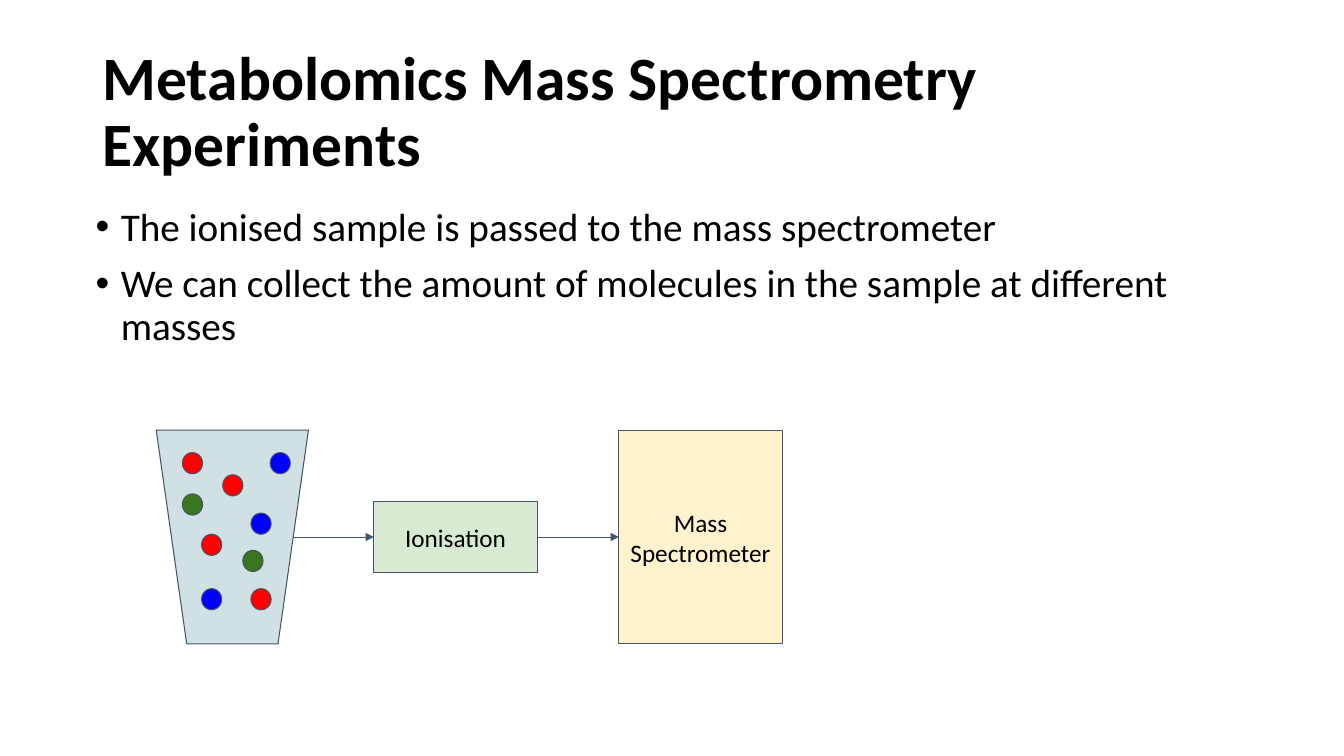
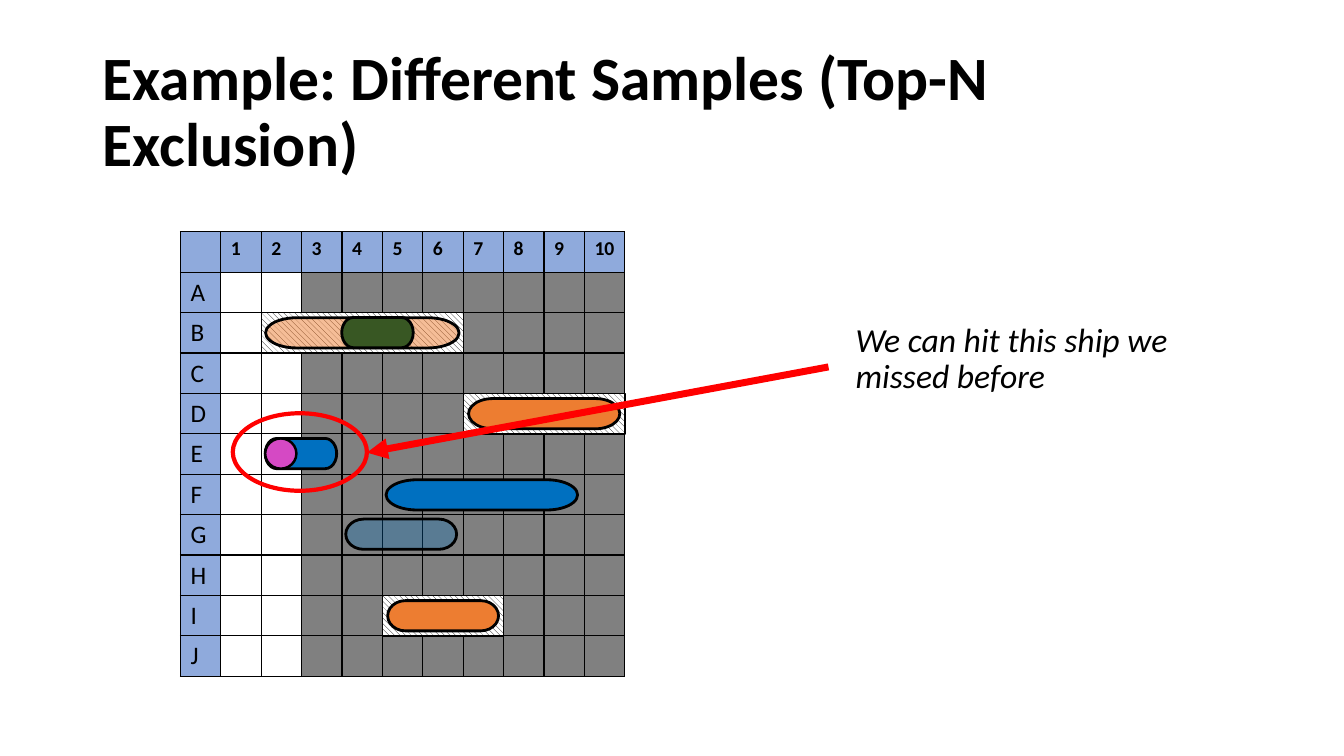
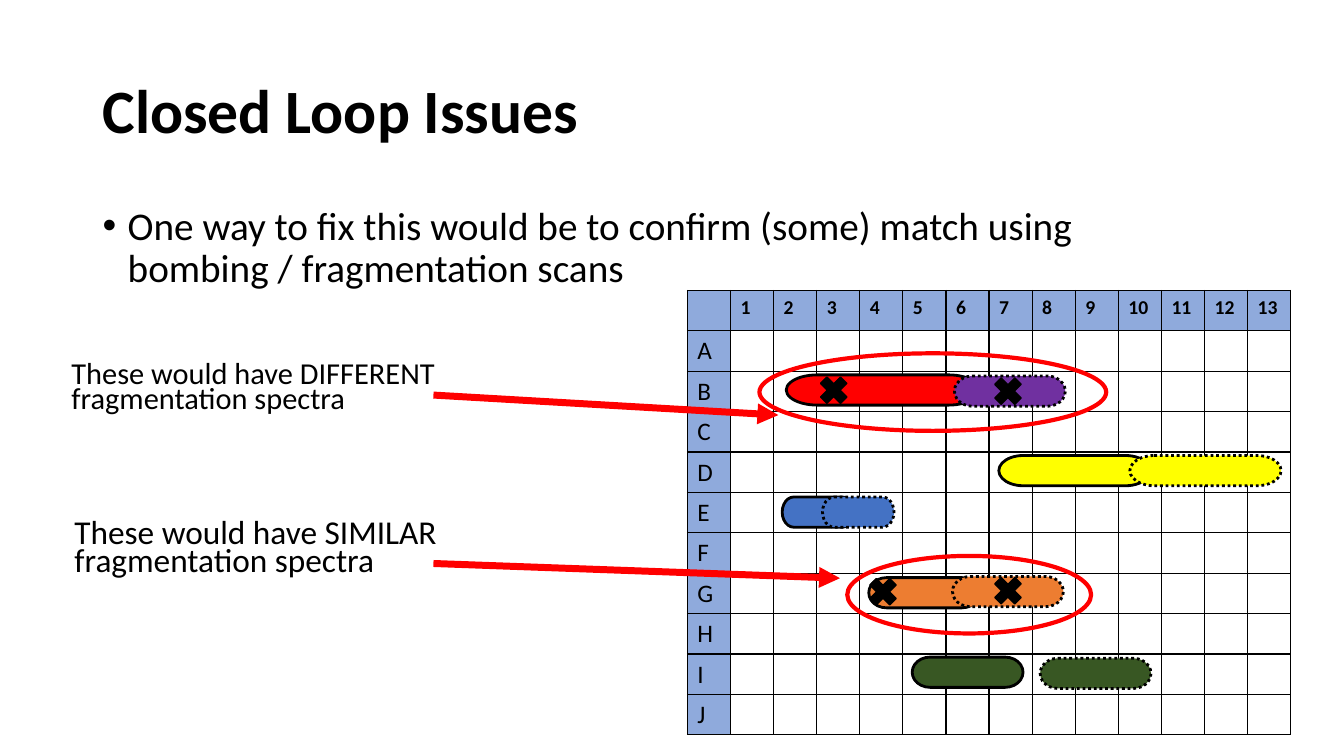
from dataclasses import dataclass

from lxml import etree
from pptx import Presentation
from pptx.dml.color import RGBColor
from pptx.enum import dml, shapes, text
from pptx.oxml import ns
from pptx.util import Pt

SHAPE = shapes.MSO_SHAPE


@dataclass(frozen=True)
class Theme:
    font: str = "Calibri"
    black: str = "000000"
    white: str = "FFFFFF"
    slate: str = "44546A"
    red: str = "FF0000"
    blue: str = "0000FF"
    leaf: str = "38761D"
    glass: str = "D0E0E3"
    mint: str = "D9EAD3"
    cream: str = "FFF2CC"
    header: str = "8FAADC"
    hidden: str = "808080"
    orange: str = "ED7D31"
    sea: str = "0070C0"
    pink: str = "D549C4"
    forest: str = "385723"
    royal: str = "4472C4"
    yellow: str = "FFFF00"
    purple: str = "7030A0"
    title_size: float = 44
    body_size: float = 28
    note_size: float = 24
    label_size: float = 18
    header_size: float = 14


THEME = Theme()
ROWS = "ABCDEFGHIJ"
CELL = 28.87
PILL_HEIGHT = 21.6
TITLE_BOX = (66.2, 28.8, 828, 104.4)

EXPERIMENT = {
    "title": "Metabolomics Mass Spectrometry Experiments",
    "bullets": ["The ionised sample is passed to the mass spectrometer",
                "We can collect the amount of molecules in the sample at different masses"],
    "flow_y": 383.6,
    "cup": (111.6, 108.7, 152.6),
    "stages": [("Ionisation", 267.1, 50.4, THEME.mint),
               ("Mass Spectrometer", 442.1, 152.6, THEME.cream)],
    "stage_width": 116.6,
    "molecules": {
        THEME.red: [(144, 381.6), (179.3, 420.5), (159.1, 339.1), (130.3, 323.3)],
        THEME.blue: [(144, 420.5), (179.3, 366.5), (193, 323.3)],
        THEME.leaf: [(130.3, 352.8), (173.5, 393.1)],
    },
}

EXCLUSION = {
    "title": "Example: Different Samples (Top-N Exclusion)",
    "grid": (128.9, 165.6),
    # row, first column, columns, ship width, opacity in percent
    "excluded": [("D", 7, 4, 108, 100), ("I", 5, 3, 79.2, 100), ("B", 2, 5, 138.2, 50)],
    # left, top, width, fill, opacity in percent
    "ships": [(247, 370.8, 79.2, THEME.sea, 30), (275.8, 342.7, 136.8, THEME.sea, 100),
              (189.4, 313.2, 51.1, THEME.sea, 100), (244.1, 226.8, 51.1, THEME.forest, 100)],
    "hit": (189.4, 313.2, 22.3, PILL_HEIGHT),
    "ring": (166.3, 295.2, 95.8, 55.4),
    "arrow": ((591.8, 262.1), (262.1, 323.3)),
    "note": ("We can hit this ship we missed before", (604.1, 227.5, 289.4, 112.3)),
}

CLOSED_LOOP = {
    "title": "Closed Loop Issues",
    "bullets": ["One way to fix this would be to confirm (some) match using "
                "bombing / fragmentation scans"],
    "grid": (491, 207.4),
    "column_width": 30.8,
    "ships": [(620.6, 412.6, 79.2, THEME.orange), (651.6, 469.4, 79.2, THEME.forest),
              (558.7, 355, 51.1, THEME.royal), (561.6, 267.8, 138.2, THEME.red),
              (713.5, 325.4, 108, THEME.yellow)],
    "matches": [(680.4, 411.8, 79.2, THEME.orange), (743, 470.2, 79.2, THEME.forest),
                (587.5, 355, 51.1, THEME.royal), (807.1, 325.4, 108, THEME.yellow),
                (681.8, 268.6, 79.2, THEME.purple)],
    "crosses": [(706.3, 265.7), (581.8, 265), (706.3, 408.2), (617, 409)],
    "rings": [(605.2, 397.1, 174.2, 55.4), (542.5, 252.4, 247.7, 55.4)],
    # each arrow passes between two row letters
    "arrows": [((309.6, 402.5), (600, 413)), ((309.6, 282.2), (556, 296.5))],
    "notes": [("These would have SIMILAR fragmentation spectra", (46.1, 369.4, 296.6, 51.1), 23.8),
              ("These would have DIFFERENT fragmentation spectra", (43.9, 256.3, 296.6, 51.1), 21.7)],
}


def rgb(color):
    return RGBColor.from_string(color)


def points(values):
    return [Pt(value) for value in values]


def style(paragraph, size, bold=False, italic=False):
    font = paragraph.font
    font.name, font.size, font.bold, font.italic = THEME.font, Pt(size), bold, italic
    font.color.rgb = rgb(THEME.black)


def add_text(slide, lines, box, size, spacing=0.9, bullets=False, bold=False, italic=False):
    text_frame = slide.shapes.add_textbox(*points(box)).text_frame
    text_frame.word_wrap = True
    text_frame.text = "\n".join(lines)
    for index, paragraph in enumerate(text_frame.paragraphs):
        if bullets:
            properties = paragraph._p.get_or_add_pPr()
            properties.set("marL", str(Pt(18)))
            properties.set("indent", str(-Pt(18)))
            etree.SubElement(properties, ns.qn("a:buFont"), typeface="Arial")
            etree.SubElement(properties, ns.qn("a:buChar"), char="•")
        paragraph.line_spacing = spacing
        if index:
            paragraph.space_before = Pt(10)
        style(paragraph, size, bold, italic)
    return text_frame


def add_shape(slide, kind, box, fill=None, line=THEME.slate, width=0.75, opacity=100):
    shape = slide.shapes.add_shape(kind, *points(box))
    shape.shadow.inherit = False
    shape.line.color.rgb = rgb(line)
    shape.line.width = Pt(width)
    if fill is None:
        shape.fill.background()
        return shape
    shape.fill.solid()
    shape.fill.fore_color.rgb = rgb(fill)
    if opacity < 100:
        color = shape.fill._xPr.find(".//" + ns.qn("a:srgbClr"))
        etree.SubElement(color, ns.qn("a:alpha"), val=str(opacity * 1000))
    return shape


def add_ship(slide, left, top, width, fill, opacity=100):
    return add_shape(slide, SHAPE.FLOWCHART_TERMINATOR, (left, top, width, PILL_HEIGHT),
                     fill, THEME.black, 2, opacity)


def add_ring(slide, box):
    add_shape(slide, SHAPE.OVAL, box, None, THEME.red, 3)


def add_arrow(slide, start, end, color=THEME.red, width=5):
    arrow = slide.shapes.add_connector(shapes.MSO_CONNECTOR.STRAIGHT, *points(start + end))
    arrow.line.color.rgb = rgb(color)
    arrow.line.width = Pt(width)
    etree.SubElement(arrow.line._get_or_add_ln(), ns.qn("a:tailEnd"), type="triangle")
    etree.SubElement(arrow._element.spPr, ns.qn("a:effectLst"))
    return arrow


def style_cell(cell, fill):
    cell.fill.solid()
    cell.fill.fore_color.rgb = rgb(fill)
    properties = cell._tc.get_or_add_tcPr()
    for index, side in enumerate(("lnL", "lnR", "lnT", "lnB")):
        border = etree.Element(ns.qn("a:" + side), w=str(Pt(1)))
        solid = etree.SubElement(border, ns.qn("a:solidFill"))
        etree.SubElement(solid, ns.qn("a:srgbClr"), val=THEME.black)
        properties.insert(index, border)


def add_grid(slide, origin, columns, column_width=CELL, hidden_from=None):
    """Draw the lettered board; columns from hidden_from on are grey."""
    size = (column_width * (columns + 1), CELL * (len(ROWS) + 1))
    table = slide.shapes.add_table(len(ROWS) + 1, columns + 1, *points(origin + size)).table
    table.first_row = table.horz_banding = False
    for column in table.columns:
        column.width = Pt(column_width)
    for row_index, row in enumerate(table.rows):
        row.height = Pt(CELL)
        for column_index, cell in enumerate(row.cells):
            if row_index and column_index:
                hidden = hidden_from and column_index >= hidden_from
                style_cell(cell, THEME.hidden if hidden else THEME.white)
                continue
            style_cell(cell, THEME.header)
            if row_index:
                cell.text = ROWS[row_index - 1]
                style(cell.text_frame.paragraphs[0], THEME.label_size)
            elif column_index:
                cell.text = str(column_index)
                style(cell.text_frame.paragraphs[0], THEME.header_size, bold=True)


def new_slide(presentation, title):
    slide = presentation.slides.add_slide(presentation.slide_layouts[6])
    title_frame = add_text(slide, [title], TITLE_BOX, THEME.title_size, bold=True)
    title_frame.vertical_anchor = text.MSO_ANCHOR.MIDDLE
    return slide


def build_experiment(presentation, content):
    slide = new_slide(presentation, content["title"])
    add_text(slide, content["bullets"], (61.2, 144.7, 828, 342.7), THEME.body_size, bullets=True)
    flow_y, stage_width = content["flow_y"], content["stage_width"]
    left, width, height = content["cup"]
    add_shape(slide, SHAPE.FLOWCHART_MANUAL_OPERATION,
              (left, flow_y - height / 2, width, height), THEME.glass)
    arrow_start, previous = left + width * 0.9, None
    for label, left, height, fill in content["stages"]:
        stage = add_shape(slide, SHAPE.RECTANGLE,
                          (left, flow_y - height / 2, stage_width, height), fill)
        text_frame = stage.text_frame
        text_frame.margin_top = text_frame.margin_bottom = Pt(7.2)
        text_frame.text = label
        paragraph = text_frame.paragraphs[0]
        paragraph.alignment = text.PP_ALIGN.CENTER
        style(paragraph, THEME.label_size)
        arrow = add_arrow(slide, (arrow_start, flow_y), (left, flow_y), THEME.slate, 0.75)
        if previous is not None:
            arrow.begin_connect(previous, 3)
        arrow.end_connect(stage, 1)
        arrow_start, previous = left + stage_width, stage
    for color, places in content["molecules"].items():
        for place in places:
            add_shape(slide, SHAPE.OVAL, place + (14.4, 15.1), color)


def build_exclusion(presentation, content):
    slide = new_slide(presentation, content["title"])
    grid_left, grid_top = content["grid"]
    add_grid(slide, content["grid"], 10, hidden_from=3)
    for row, column, span, ship_width, opacity in content["excluded"]:
        left, width = grid_left + column * CELL, span * CELL
        top = grid_top + (ROWS.index(row) + 1) * CELL
        zone = add_shape(slide, SHAPE.RECTANGLE, (left, top, width, CELL), None, THEME.black, 1)
        zone.fill.patterned()
        zone.fill.pattern = dml.MSO_PATTERN.WIDE_DOWNWARD_DIAGONAL
        zone.fill.fore_color.rgb = rgb(THEME.black)
        zone.fill.back_color.rgb = rgb(THEME.white)
        add_ship(slide, left + (width - ship_width) / 2, top + (CELL - PILL_HEIGHT) / 2,
                 ship_width, THEME.orange, opacity)
    for ship in content["ships"]:
        add_ship(slide, *ship)
    add_shape(slide, SHAPE.OVAL, content["hit"], THEME.pink, THEME.black, 1.75)
    add_ring(slide, content["ring"])
    add_arrow(slide, *content["arrow"])
    note, box = content["note"]
    add_text(slide, [note], box, THEME.note_size, italic=True)


def build_closed_loop(presentation, content):
    slide = new_slide(presentation, content["title"])
    add_text(slide, content["bullets"], (66.2, 144, 828, 342.7), THEME.body_size, bullets=True)
    add_grid(slide, content["grid"], 13, content["column_width"])
    for ship in content["ships"]:
        add_ship(slide, *ship)
    for match in content["matches"]:
        add_ship(slide, *match).line.dash_style = dml.MSO_LINE.ROUND_DOT
    for place in content["crosses"]:
        add_shape(slide, SHAPE.MATH_MULTIPLY, place + (27.4, 27.4), THEME.black, THEME.black, 1)
    for ring in content["rings"]:
        add_ring(slide, ring)
    for arrow in content["arrows"]:
        add_arrow(slide, *arrow)
    for note, box, size in content["notes"]:
        add_text(slide, [note], box, size, spacing=0.7)


def main():
    presentation = Presentation()
    presentation.slide_width, presentation.slide_height = Pt(960), Pt(540)
    build_experiment(presentation, EXPERIMENT)
    build_exclusion(presentation, EXCLUSION)
    build_closed_loop(presentation, CLOSED_LOOP)
    presentation.save("out.pptx")


if __name__ == "__main__":
    main()
